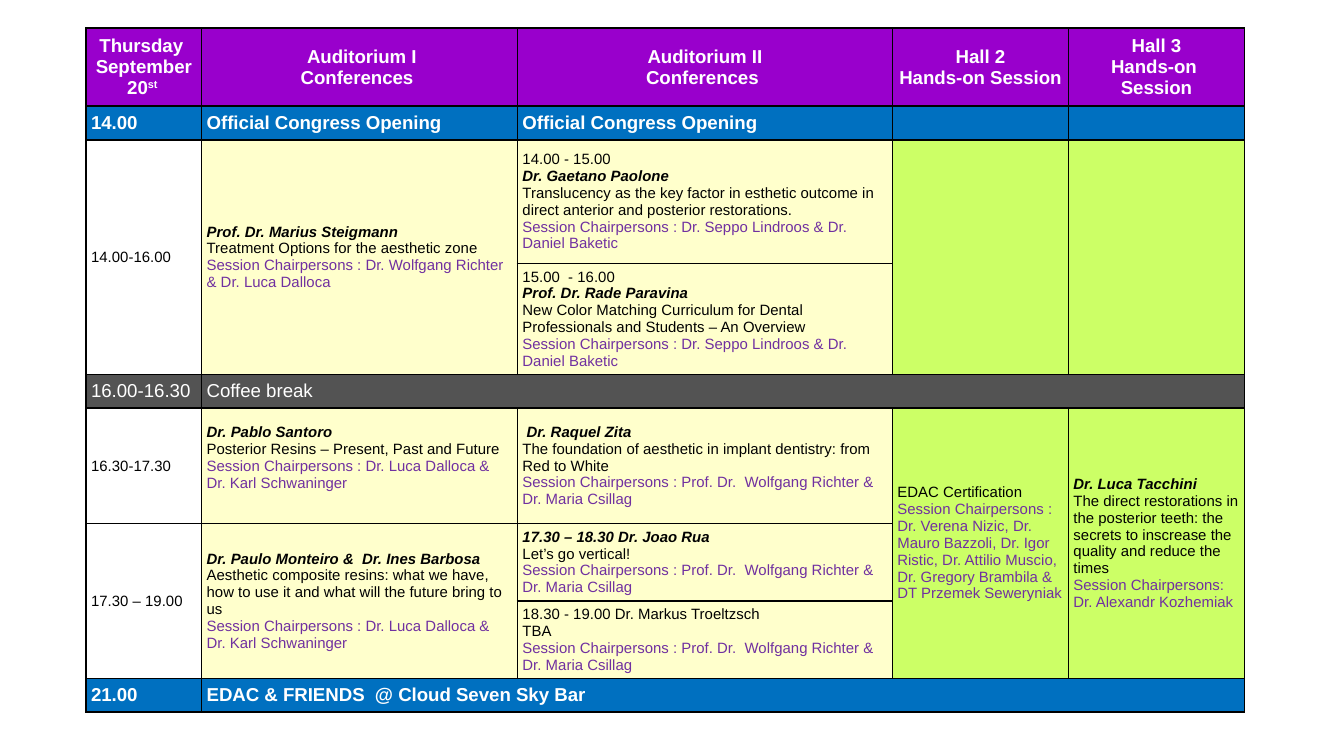
from dataclasses import dataclass
from lxml import etree
from pptx import Presentation
from pptx.dml.color import RGBColor
from pptx.enum.text import MSO_ANCHOR, PP_ALIGN
from pptx.oxml.ns import qn
from pptx.util import Inches, Pt

MIDDLE = MSO_ANCHOR.MIDDLE
CENTER = PP_ALIGN.CENTER
LEFT = PP_ALIGN.LEFT

HEX = {
    "purple": "9900CC", "blue": "0070C0", "cream": "FFFFCC", "lime": "CCFF66",
    "gray": "535353", "white": "FFFFFF", "black": "000000", "ink": "010101",
    "violet": "7030A0",
}
STYLES = {
    "head": dict(size=10, color="white", bold=True),
    "break": dict(size=10, color="white"),
    "name": dict(bold=True, italic=True),
    "time": dict(color="ink"),
    "topic": dict(color="black"),
    "chair": dict(color="violet"),
}
COLS = (0.86, 2.35, 2.79, 1.31, 1.31)
ROWS = (0.58, 0.25, 0.92, 0.75, 0.25, 0.86, 0.4, 0.52, 0.25)
INSET = Pt(2.7)
SEPPO = "Session Chairpersons : Dr. Seppo Lindroos & Dr. Daniel Baketic"
LUCA = "Session Chairpersons : Dr. Luca Dalloca & Dr. Karl Schwaninger"
MARIA = "Session Chairpersons : Prof. Dr.  Wolfgang Richter & Dr. Maria Csillag"


@dataclass
class Line:
    style: str
    text: str
    raised: str = ""


@dataclass
class Slot:
    row: int
    col: int
    fill: str
    lines: tuple = ()
    down: int = 1
    across: int = 1
    foot: int = INSET


SLOTS = [
    Slot(0, 0, "purple", (Line("head", "Thursday  September 20", "st "),)),
    *(Slot(0, col, "purple", (Line("head", room), Line("head", use)))
      for col, (room, use) in enumerate((
          (" Auditorium I", "Conferences "), ("Auditorium II", "Conferences "),
          ("Hall 2", "Hands-on Session"), ("Hall 3", "Hands-on  Session")), 1)),
    Slot(1, 0, "blue", (Line("head", "14.00"),)),
    *(Slot(1, col, "blue", (Line("head", "Official Congress Opening"),)) for col in (1, 2)),
    *(Slot(1, col, "blue") for col in (3, 4)),
    Slot(2, 0, "white", (Line("time", "14.00-16.00"),), down=2),
    Slot(2, 1, "cream", (
        Line("name", "Prof. Dr. Marius Steigmann"),
        Line("topic", "Treatment Options for the aesthetic zone"),
        Line("chair", "Session Chairpersons : Dr. Wolfgang Richter & Dr. Luca Dalloca")), down=2),
    Slot(2, 2, "cream", (
        Line("time", "14.00 - 15.00"),
        Line("name", "Dr. Gaetano Paolone"),
        Line("topic", "Translucency as the key factor in esthetic outcome in "
                      "direct anterior and posterior restorations."),
        Line("chair", SEPPO))),
    *(Slot(2, col, "lime", down=2) for col in (3, 4)),
    Slot(3, 2, "cream", (
        Line("time", "15.00  - 16.00"),
        Line("name", "Prof. Dr. Rade Paravina"),
        Line("topic", "New Color Matching Curriculum for Dental "
                      "Professionals and Students – An Overview"),
        Line("chair", SEPPO))),
    Slot(4, 0, "gray", (Line("break", "16.00-16.30"),)),
    Slot(4, 1, "gray", (Line("break", "Coffee break"),), across=4),
    Slot(5, 0, "white", (Line("time", "16.30-17.30"),)),
    Slot(5, 1, "cream", (
        Line("name", "Dr. Pablo Santoro"),
        Line("time", "Posterior Resins – Present, Past and Future"),
        Line("chair", LUCA)), foot=Inches(0.16)),
    Slot(5, 2, "cream", (
        Line("name", " Dr. Raquel Zita"),
        Line("time", "The foundation of aesthetic in implant dentistry: from Red to White"),
        Line("chair", MARIA))),
    Slot(5, 3, "lime", (
        Line("topic", "EDAC Certification"),
        Line("chair", "Session Chairpersons :  Dr. Verena Nizic, Dr. Mauro Bazzoli, "
                      "Dr. Igor Ristic, Dr. Attilio Muscio, Dr. Gregory Brambila & "
                      "DT Przemek Seweryniak")), down=3),
    Slot(5, 4, "lime", (
        Line("name", "Dr. Luca Tacchini"),
        Line("time", "The direct restorations in the posterior teeth: the secrets "
                     "to inscrease the quality and reduce the times"),
        Line("chair", "Session Chairpersons: Dr. Alexandr Kozhemiak")), down=3),
    Slot(6, 0, "white", (Line("time", "17.30 – 19.00"),), down=2),
    Slot(6, 1, "cream", (
        Line("name", "Dr. Paulo Monteiro &  Dr. Ines Barbosa"),
        Line("time", "Aesthetic composite resins: what we have, how to use it "
                     "and what will the future bring to us"),
        Line("chair", LUCA)), down=2),
    Slot(6, 2, "cream", (
        Line("name", "17.30 – 18.30 Dr. Joao Rua"),
        Line("time", "Let’s go vertical!"),
        Line("chair", MARIA))),
    Slot(7, 2, "cream", (
        Line("time", "18.30 - 19.00 Dr. Markus Troeltzsch"),
        Line("time", "TBA"),
        Line("chair", MARIA))),
    Slot(8, 0, "blue", (Line("head", "21.00"),)),
    Slot(8, 1, "blue", (Line("head", "EDAC & FRIENDS  @ Cloud Seven Sky Bar"),), across=4),
]


def write(para, text: str, *, size=8, color="ink", bold=False, italic=False, raised=False) -> None:
    run = para.add_run()
    run.text = text
    font = run.font
    font.name, font.size, font.bold, font.italic = "Arial", Pt(size), bold, italic
    font.color.rgb = RGBColor.from_string(HEX[color])
    if raised:
        font._element.set("baseline", "30000")


def frame(cell) -> None:
    props = cell._tc.get_or_add_tcPr()
    for side in "LRTB":
        edge = etree.SubElement(props, qn(f"a:ln{side}"), w=str(Pt(1)))
        paint = etree.SubElement(edge, qn("a:solidFill"))
        etree.SubElement(paint, qn("a:srgbClr"), val=HEX["black"])


def place(table, slot: Slot) -> None:
    cell = table.cell(slot.row, slot.col)
    if slot.down > 1 or slot.across > 1:
        cell.merge(table.cell(slot.row + slot.down - 1, slot.col + slot.across - 1))
    frame(cell)
    cell.fill.solid()
    cell.fill.fore_color.rgb = RGBColor.from_string(HEX[slot.fill])
    cell.vertical_anchor = MIDDLE
    cell.margin_bottom = slot.foot
    body = cell.text_frame
    for index, line in enumerate(slot.lines):
        para = body.add_paragraph() if index else body.paragraphs[0]
        para.alignment = LEFT if slot.row else CENTER
        write(para, line.text, **STYLES[line.style])
        if line.raised:
            write(para, line.raised, raised=True, **STYLES[line.style])


def main() -> None:
    deck = Presentation()
    deck.slide_width = Inches(10)
    deck.slide_height = deck.slide_width * 9 // 16
    slide = deck.slides.add_slide(deck.slide_layouts[6])
    table = slide.shapes.add_table(len(ROWS), len(COLS), Inches(0.64), Inches(0.21),
                                   Inches(sum(COLS)), Inches(sum(ROWS))).table
    table.first_row = table.horz_banding = False
    for col, width in zip(table.columns, COLS):
        col.width = Inches(width)
    for row, height in zip(table.rows, ROWS):
        row.height = Inches(height)
    for cell in table.iter_cells():
        cell.margin_left = cell.margin_right = INSET
        cell.margin_top = cell.margin_bottom = INSET
    for slot in SLOTS:
        place(table, slot)
    for cell in table.iter_cells():
        if not cell.text_frame.text:
            etree.SubElement(cell.text_frame.paragraphs[0]._p, qn("a:endParaRPr"), sz="800")
    deck.save("out.pptx")


if __name__ == "__main__":
    main()
